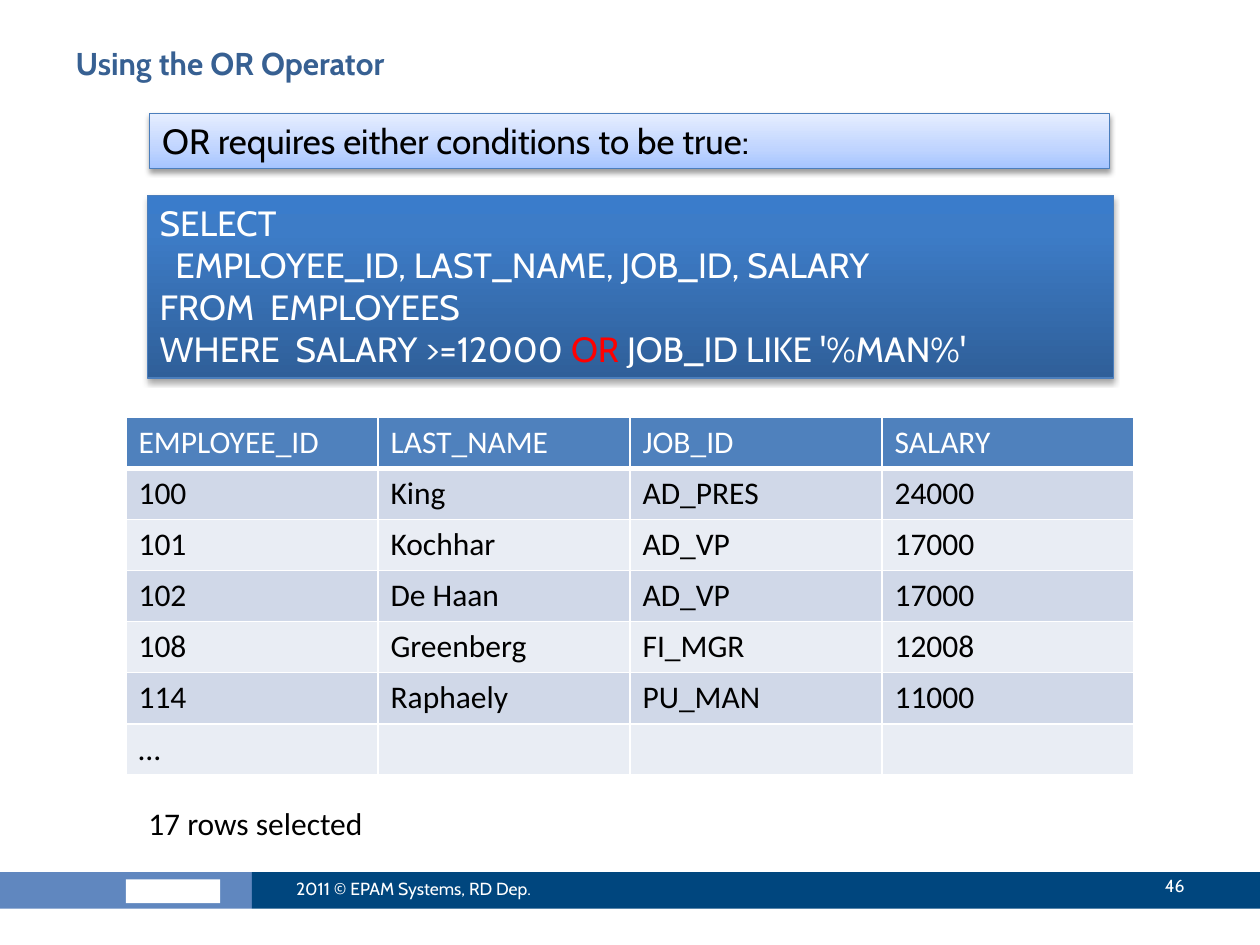
import dataclasses

import lxml.etree
import pptx
import pptx.dml.color
import pptx.enum.shapes
import pptx.enum.text
import pptx.oxml.ns
import pptx.util

Cm = pptx.util.Cm
Pt = pptx.util.Pt
qn = pptx.oxml.ns.qn
ANCHOR = pptx.enum.text.MSO_ANCHOR
ALIGN = pptx.enum.text.PP_ALIGN
FIT = pptx.enum.text.MSO_AUTO_SIZE


@dataclasses.dataclass(frozen=True)
class Theme:
    heading_font: str = "Cabin"
    table_font: str = "Calibri"
    title_size: int = 18
    panel_size: int = 20
    table_size: int = 18
    footer_size: int = 10
    title: str = "376092"
    text: str = "000000"
    light: str = "FFFFFF"
    keyword: str = "FF0000"
    outline: str = "4B7EBC"
    header: str = "4F81BD"
    bands: tuple = ("D0D8E8", "E9EDF4")
    footer_left: str = "6087BF"
    footer_right: str = "00467E"
    code_gradient: tuple = ((0, "2F5F99"), (80, "3D7CC7"), (100, "3A7CCB"))
    note_gradient: tuple = ((0, "A4C4FF"), (35, "BFD4FF"), (100, "E6EEFF"))


def rgb(color):
    return pptx.dml.color.RGBColor.from_string(color)


def add_color(parent, color):
    return lxml.etree.SubElement(parent, qn("a:srgbClr"), val=color)


class SlideBuilder:
    def __init__(self, page, theme):
        self.page = page
        self.theme = theme

    def style(self, para, size, color, family=None, bold=False):
        para.font.name = family or self.theme.heading_font
        para.font.size = Pt(size)
        para.font.bold = bold
        para.font.color.rgb = rgb(color)

    def title(self, text, left, top, width, height):
        box = self.page.shapes.title
        box.left, box.top, box.width, box.height = map(Cm, (left, top, width, height))
        box.text_frame.text = text
        box.text_frame.vertical_anchor = ANCHOR.TOP
        para = box.text_frame.paragraphs[0]
        para.alignment = ALIGN.LEFT
        self.style(para, self.theme.title_size, self.theme.title, bold=True)

    def rectangle(self, left, top, width, height, color):
        box = self.page.shapes.add_shape(
            pptx.enum.shapes.MSO_SHAPE.RECTANGLE, *map(Cm, (left, top, width, height)))
        box.shadow.inherit = False
        box.fill.solid()
        box.fill.fore_color.rgb = rgb(color)
        box.line.fill.background()
        return box

    def panel(self, lines, left, top, width, height, gradient, color, opacity):
        box = self.rectangle(left, top, width, height, gradient[0][1])
        box.line.color.rgb = rgb(self.theme.outline)
        box.line.width = Pt(0.75)
        box.fill.gradient()
        box.fill.gradient_angle = 90
        properties = box._element.spPr
        stops = properties.find(".//" + qn("a:gsLst"))
        for stop in list(stops):
            stops.remove(stop)
        for position, shade in gradient:
            add_color(lxml.etree.SubElement(stops, qn("a:gs"), pos=str(position * 1000)), shade)
        shadow = lxml.etree.SubElement(
            properties.find(qn("a:effectLst")), qn("a:outerShdw"),
            blurRad=str(Pt(3.1)), dist=str(Pt(1.8)), dir="5400000", rotWithShape="0")
        lxml.etree.SubElement(add_color(shadow, "000000"), qn("a:alpha"), val=str(opacity * 1000))

        frame = box.text_frame
        frame.word_wrap = True
        frame.auto_size = FIT.SHAPE_TO_FIT_TEXT
        frame.vertical_anchor = ANCHOR.TOP
        for index, spans in enumerate(lines):
            para = frame.add_paragraph() if index else frame.paragraphs[0]
            para.alignment = ALIGN.LEFT
            self.style(para, self.theme.panel_size, color)
            for text, accent in spans:
                span = para.add_run()
                span.text = text
                if accent:
                    span.font.color.rgb = rgb(accent)

    def label(self, text, left, top, width, height, size, color, family=None,
              anchor=ANCHOR.MIDDLE, align=ALIGN.LEFT, wrap=True):
        box = self.page.shapes.add_textbox(*map(Cm, (left, top, width, height)))
        frame = box.text_frame
        frame.word_wrap = wrap
        frame.vertical_anchor = anchor
        frame.text = text
        para = frame.paragraphs[0]
        para.alignment = align
        self.style(para, size, color, family)

    def cell_borders(self, cell, bottom):
        properties = cell._tc.get_or_add_tcPr()
        for index, (side, width) in enumerate((("L", 1), ("R", 1), ("T", 1), ("B", bottom))):
            line = lxml.etree.Element(qn("a:ln" + side), w=str(Pt(width)))
            add_color(lxml.etree.SubElement(line, qn("a:solidFill")), self.theme.light)
            properties.insert(index, line)

    def table(self, rows, left, top, width, row_height):
        theme = self.theme
        grid = self.page.shapes.add_table(
            len(rows), len(rows[0]), *map(Cm, (left, top, width, row_height * len(rows)))).table
        for row_index, values in enumerate(rows):
            is_header = row_index == 0
            for column_index, value in enumerate(values):
                cell = grid.cell(row_index, column_index)
                cell.text = value
                cell.fill.solid()
                cell.fill.fore_color.rgb = rgb(
                    theme.header if is_header else theme.bands[(row_index - 1) % 2])
                self.cell_borders(cell, 3 if is_header else 1)
                self.style(cell.text_frame.paragraphs[0], theme.table_size,
                           theme.light if is_header else theme.text, theme.table_font)


def main():
    theme = Theme()
    deck = pptx.Presentation()
    deck.slide_width, deck.slide_height = Cm(25.4), Cm(19.05)
    builder = SlideBuilder(deck.slides.add_slide(deck.slide_layouts[5]), theme)

    footer_top, footer_height = 17.58, 0.74
    builder.rectangle(0, footer_top, 5.08, footer_height, theme.footer_left)
    builder.rectangle(2.54, 17.73, 1.9, 0.48, theme.light)
    builder.rectangle(5.08, footer_top, 20.32, footer_height, theme.footer_right)

    builder.title("Using the OR Operator", 1.27, 0.76, 22.86, 1.98)
    builder.table([
        ("EMPLOYEE_ID", "LAST_NAME", "JOB_ID", "SALARY"),
        ("100", "King", "AD_PRES", "24000"),
        ("101", "Kochhar", "AD_VP", "17000"),
        ("102", "De Haan", "AD_VP", "17000"),
        ("108", "Greenberg", "FI_MGR", "12008"),
        ("114", "Raphaely", "PU_MAN", "11000"),
        ("…", "", "", ""),
    ], 2.54, 8.41, 20.32, 1.03)

    builder.label("2011 © EPAM Systems, RD Dep.", 5.72, 17.4, 6.78, 1.02,
                  theme.footer_size, theme.light)
    builder.label("46", 21.39, 17.35, 2.74, 1.02,
                  theme.footer_size, theme.light, align=ALIGN.RIGHT)

    builder.panel([
        [("SELECT", None)],
        [("  EMPLOYEE_ID, LAST_NAME, JOB_ID, SALARY", None)],
        [("FROM  EMPLOYEES", None)],
        [("WHERE  SALARY >=12000 ", None), ("OR", theme.keyword),
         (" JOB_ID LIKE '%MAN%'", None)],
    ], 2.97, 3.94, 19.48, 3.68, theme.code_gradient, theme.light, 35)
    builder.panel([[("OR requires either conditions to be true:", None)]],
                  3.02, 2.29, 19.35, 1.11, theme.note_gradient, theme.text, 38)
    builder.label("17 rows selected", 2.74, 16.08, 5.33, 1.02, theme.table_size, theme.text,
                  theme.table_font, anchor=ANCHOR.TOP, wrap=False)

    deck.save("out.pptx")


if __name__ == "__main__":
    main()
